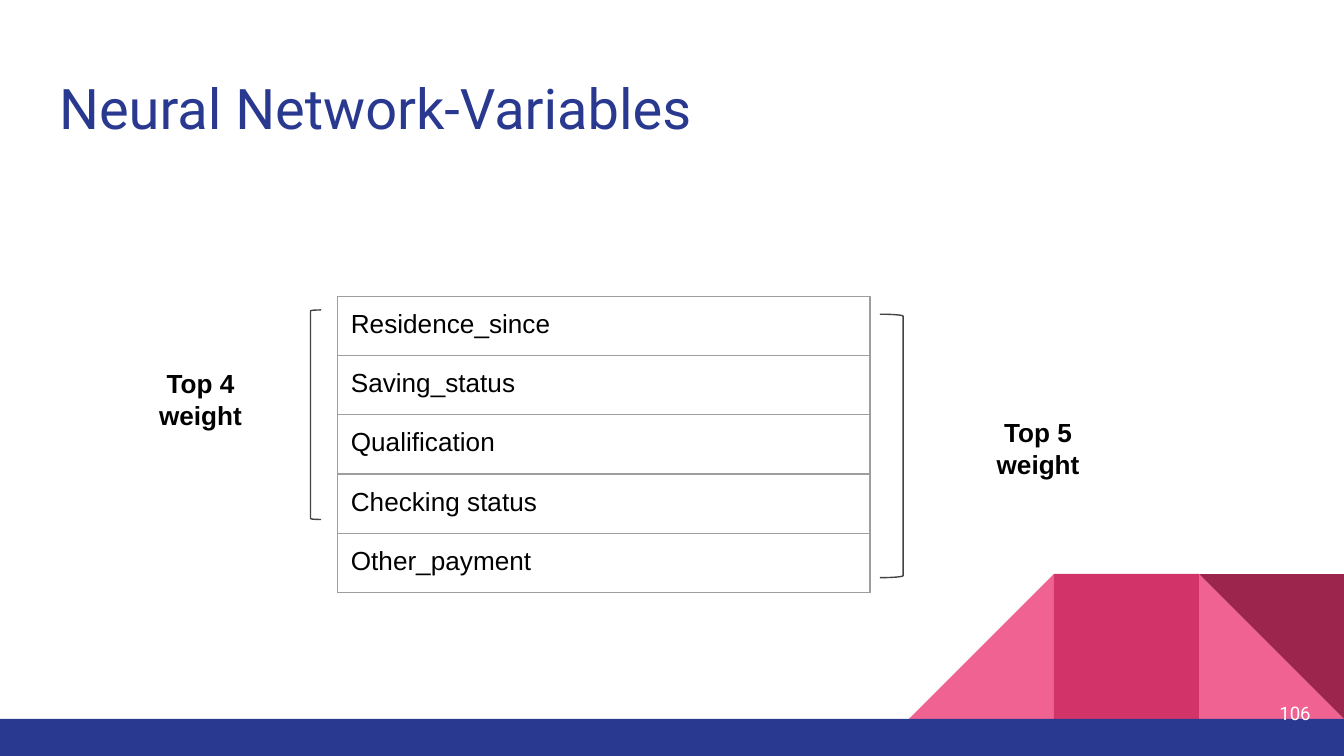
from lxml.etree import SubElement
from pptx import Presentation
from pptx.dml.color import RGBColor
from pptx.enum.shapes import MSO_SHAPE as SHAPE
from pptx.enum.text import MSO_ANCHOR as ANCHOR, PP_ALIGN as ALIGN
from pptx.oxml.ns import qn
from pptx.util import Cm, Pt

NAVY, PINK, ROSE, WINE = "2A3990", "F06292", "D23369", "9C254D"
WHITE, BLACK, DARK, GREY = "FFFFFF", "000000", "434343", "9E9E9E"
INSET = 0.25


def rgb(value):
    return RGBColor.from_string(value)


class Deck:
    def __init__(self, width, height):
        self.prs = Presentation()
        self.prs.slide_width, self.prs.slide_height = Cm(width), Cm(height)
        self.s = self.prs.slides.add_slide(self.prs.slide_layouts[6])

    def set_text(self, tf, text, size, color, font="Arial", bold=False, align=ALIGN.LEFT):
        p = tf.paragraphs[0]
        p.text = text
        p.alignment = align
        p.font.size, p.font.name, p.font.bold = Pt(size), font, bold
        p.font.color.rgb = rgb(color)

    def pad(self, box):
        box.margin_left = box.margin_right = Cm(INSET)
        box.margin_top = box.margin_bottom = Cm(INSET)

    def text(self, text, x, y, w, h, size, color, anchor=ANCHOR.TOP, **style):
        tf = self.s.shapes.add_textbox(Cm(x), Cm(y), Cm(w), Cm(h)).text_frame
        tf.word_wrap = True
        tf.vertical_anchor = anchor
        self.pad(tf)
        self.set_text(tf, text, size, color, **style)

    def shape(self, kind, x, y, w, h, fill, rotation=0):
        sp = self.s.shapes.add_shape(kind, Cm(x), Cm(y), Cm(w), Cm(h))
        sp.shadow.inherit = False
        sp.rotation = rotation
        sp.fill.solid()
        sp.fill.fore_color.rgb = rgb(fill)
        sp.line.fill.background()

    def bracket(self, kind, x, y, w, h):
        sp = self.s.shapes.add_shape(kind, Cm(x), Cm(y), Cm(w), Cm(h))
        sp.shadow.inherit = False
        sp.fill.background()
        sp.line.color.rgb = rgb(DARK)
        sp.line.width = Pt(0.75)

    def border(self, cell, color, width):
        tcPr = cell._tc.get_or_add_tcPr()
        for i, side in enumerate(("a:lnL", "a:lnR", "a:lnT", "a:lnB")):
            ln = SubElement(tcPr, qn(side), w=str(Pt(width)))
            fill = SubElement(ln, qn("a:solidFill"))
            SubElement(fill, qn("a:srgbClr"), val=color)
            tcPr.insert(i, ln)

    def table(self, names, x, y, w, row_h):
        t = self.s.shapes.add_table(
            len(names), 1, Cm(x), Cm(y), Cm(w), Cm(row_h * len(names))
        ).table
        t.first_row = t.horz_banding = False
        for row, name in zip(t.rows, names):
            row.height = Cm(row_h)
            cell = row.cells[0]
            cell.fill.background()
            self.pad(cell)
            self.border(cell, GREY, 0.75)
            self.set_text(cell.text_frame, name, 14, BLACK)


def main():
    width, height, band, side = 25.4, 14.29, 0.7, 2.74
    deck = Deck(width, height)

    top = height - band - side
    tiles = [
        (SHAPE.RIGHT_TRIANGLE, 1, PINK, 0),
        (SHAPE.RIGHT_TRIANGLE, 3, PINK, 270),
        (SHAPE.RECTANGLE, 2, ROSE, 0),
        (SHAPE.RIGHT_TRIANGLE, 1, WINE, 180),
    ]
    for kind, from_right, fill, rotation in tiles:
        deck.shape(kind, width - from_right * side, top, side, side, fill, rotation)
    deck.shape(SHAPE.RECTANGLE, 0, height - band, width, band, NAVY)

    deck.text("Neural Network-Variables", 0.87, 1.15, 23.67, 1.68, 30, NAVY, font="Roboto")
    deck.text("106", 23.5, 12.94, 1.52, 1.09, 10, WHITE, ANCHOR.MIDDLE,
              font="Roboto", align=ALIGN.RIGHT)

    variables = ["Residence_since", "Saving_status", "Qualification",
                 "Checking status", "Other_payment"]
    deck.table(variables, 6.38, 5.6, 10.06, 1.12)

    deck.bracket(SHAPE.LEFT_BRACKET, 5.87, 5.86, 0.2, 3.96)
    deck.bracket(SHAPE.RIGHT_BRACKET, 16.63, 5.94, 0.44, 4.98)
    for label, x, y in [("Top 4 weight", 2.1, 6.7), ("Top 5 weight", 17.93, 7.63)]:
        deck.text(label, x, y, 3.38, 1.6, 14, BLACK, bold=True, align=ALIGN.CENTER)

    deck.prs.save("out.pptx")


if __name__ == "__main__":
    main()
